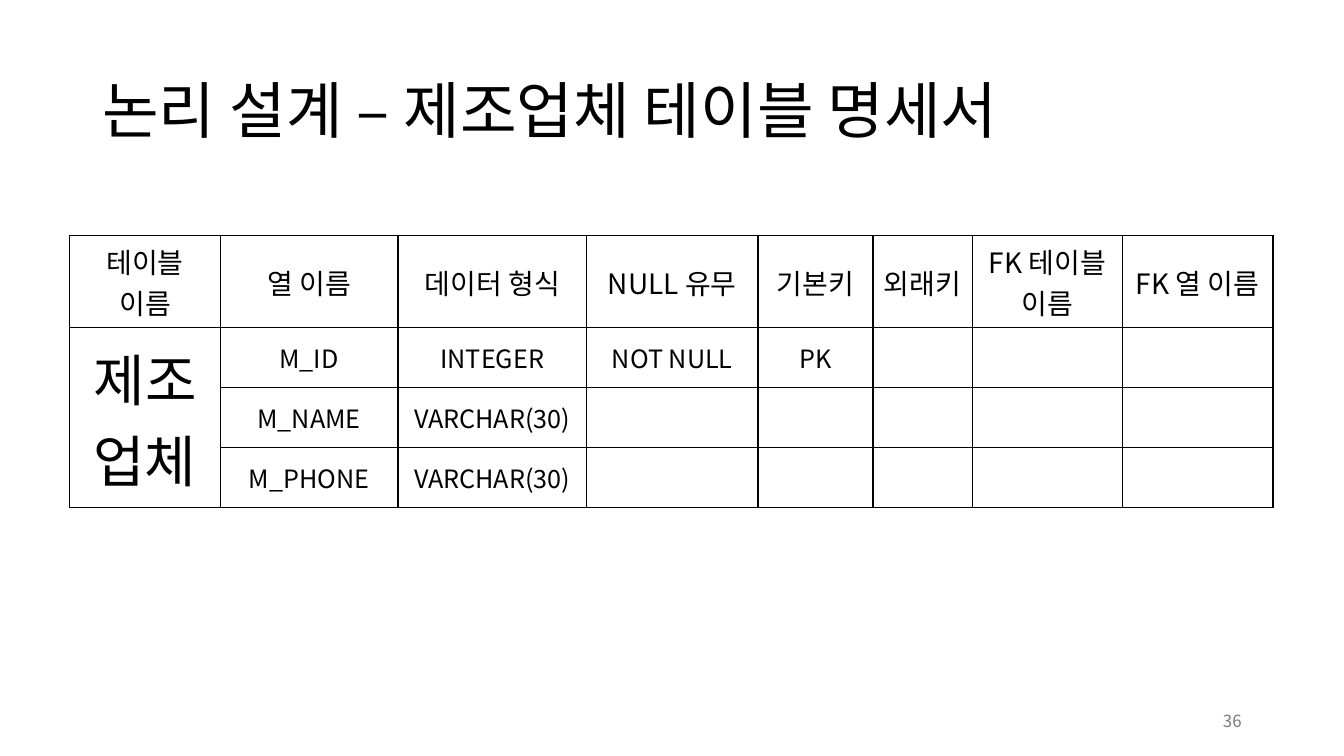
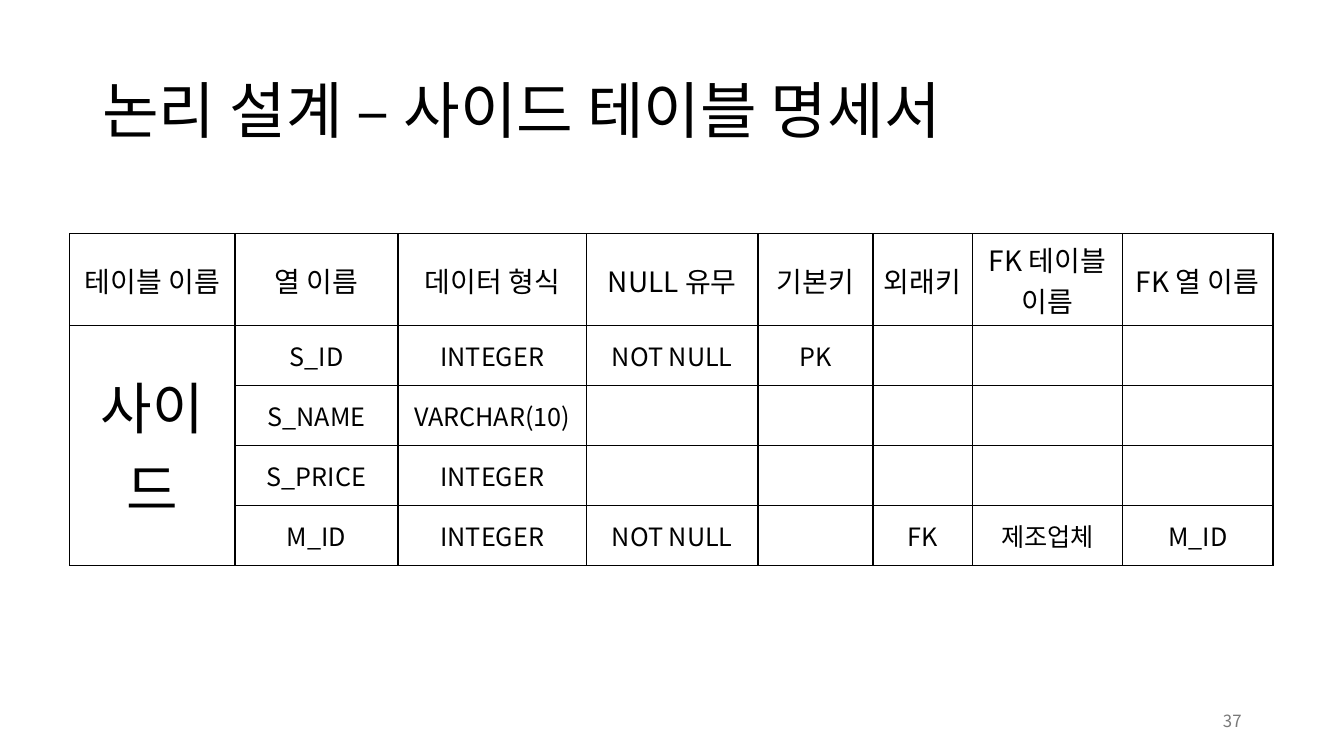
import pptx
import pptx.dml.color
import pptx.enum.text
import pptx.oxml
import pptx.oxml.ns
import pptx.util
from lxml import etree
from pptx.util import Cm

FONT = "Noto Sans CJK KR"
BLACK = "000000"
GRAY = "797979"
ALIGN = pptx.enum.text.PP_ALIGN
MIDDLE = pptx.enum.text.MSO_ANCHOR.MIDDLE

HEADERS = ["테이블 이름", "열 이름", "데이터 형식", "NULL 유무", "기본키",
           "외래키", "FK 테이블 이름", "FK 열 이름"]
SHARED_WIDTHS = [4.75, 4.32, 2.9, 2.5, 3.79, 3.79]
HEADER_HEIGHT = 2.32
ROW_HEIGHT = 1.51

SPECIFICATIONS = [
    {
        "title": "논리 설계 – 제조업체 테이블 명세서",
        "number": 36,
        "table": "제조업체",
        "top": 5.94,
        "widths": [3.79, 4.48],
        "rows": [
            ["M_ID", "INTEGER", "NOT NULL", "PK"],
            ["M_NAME", "VARCHAR(30)"],
            ["M_PHONE", "VARCHAR(30)"],
        ],
    },
    {
        "title": "논리 설계 – 사이드 테이블 명세서",
        "number": 37,
        "table": "사이드",
        "top": 5.89,
        "widths": [4.16, 4.11],
        "rows": [
            ["S_ID", "INTEGER", "NOT NULL", "PK"],
            ["S_NAME", "VARCHAR(10)"],
            ["S_PRICE", "INTEGER"],
            ["M_ID", "INTEGER", "NOT NULL", "", "FK", "제조업체", "M_ID"],
        ],
    },
]


def color(value):
    return pptx.dml.color.RGBColor.from_string(value)


def write(text_frame, text, size, hex_color=BLACK, align=ALIGN.CENTER):
    text_frame.text = text
    paragraph = text_frame.paragraphs[0]
    paragraph.alignment = align
    for run in paragraph.runs:
        run.font.size = pptx.util.Pt(size)
        run.font.name = FONT
        run.font.color.rgb = color(hex_color)
        # Korean glyphs take the East Asian typeface, not the Latin one
        east_asian = etree.SubElement(run.font._element, pptx.oxml.ns.qn("a:ea"))
        east_asian.set("typeface", FONT)
    return paragraph


def add_text(slide, box, text, size, hex_color, align):
    shape = slide.shapes.add_textbox(*(Cm(length) for length in box))
    shape.text_frame.word_wrap = True
    shape.text_frame.vertical_anchor = MIDDLE
    return write(shape.text_frame, text, size, hex_color, align)


def set_borders(cell):
    properties = cell._tc.get_or_add_tcPr()
    for position, side in enumerate(("lnL", "lnR", "lnT", "lnB")):
        border = pptx.oxml.parse_xml(
            f'<a:{side} {pptx.oxml.ns.nsdecls("a")} w="12700"><a:solidFill>'
            f'<a:srgbClr val="{BLACK}"/></a:solidFill></a:{side}>')
        properties.insert(position, border)


def add_specification_table(slide, left, top, widths, table_name, rows):
    """Column table whose first column names the database table once."""
    row_count = len(rows) + 1
    heights = [HEADER_HEIGHT] + [ROW_HEIGHT] * len(rows)
    frame = slide.shapes.add_table(row_count, len(widths), Cm(left), Cm(top),
                                   Cm(sum(widths)), Cm(sum(heights)))
    table = frame.table
    table.first_row = table.horz_banding = False
    for column, width in zip(table.columns, widths):
        column.width = Cm(width)
    for row, height in zip(table.rows, heights):
        row.height = Cm(height)
    for cell in table.iter_cells():
        cell.fill.background()
        cell.vertical_anchor = MIDDLE
        set_borders(cell)
    for index, header in enumerate(HEADERS):
        write(table.cell(0, index).text_frame, header, 20)
    for row_index, values in enumerate(rows, start=1):
        for column_index, value in enumerate(values, start=1):
            if value:
                write(table.cell(row_index, column_index).text_frame, value, 18)
    name_cell = table.cell(1, 0)
    name_cell.merge(table.cell(row_count - 1, 0))
    write(name_cell.text_frame, table_name, 40)


def add_specification_slide(presentation, specification):
    slide = presentation.slides.add_slide(presentation.slide_layouts[6])
    title = add_text(slide, (2.33, 1.01, 29.21, 3.68), specification["title"],
                     44, BLACK, ALIGN.LEFT)
    title.line_spacing = 0.9
    add_text(slide, (23.92, 17.65, 7.62, 1.01), str(specification["number"]),
             12, GRAY, ALIGN.RIGHT)
    add_specification_table(slide, 1.76, specification["top"],
                            specification["widths"] + SHARED_WIDTHS,
                            specification["table"], specification["rows"])


def main():
    presentation = pptx.Presentation()
    presentation.slide_width = Cm(33.87)
    presentation.slide_height = Cm(19.05)
    for specification in SPECIFICATIONS:
        add_specification_slide(presentation, specification)
    presentation.save("out.pptx")


if __name__ == "__main__":
    main()
